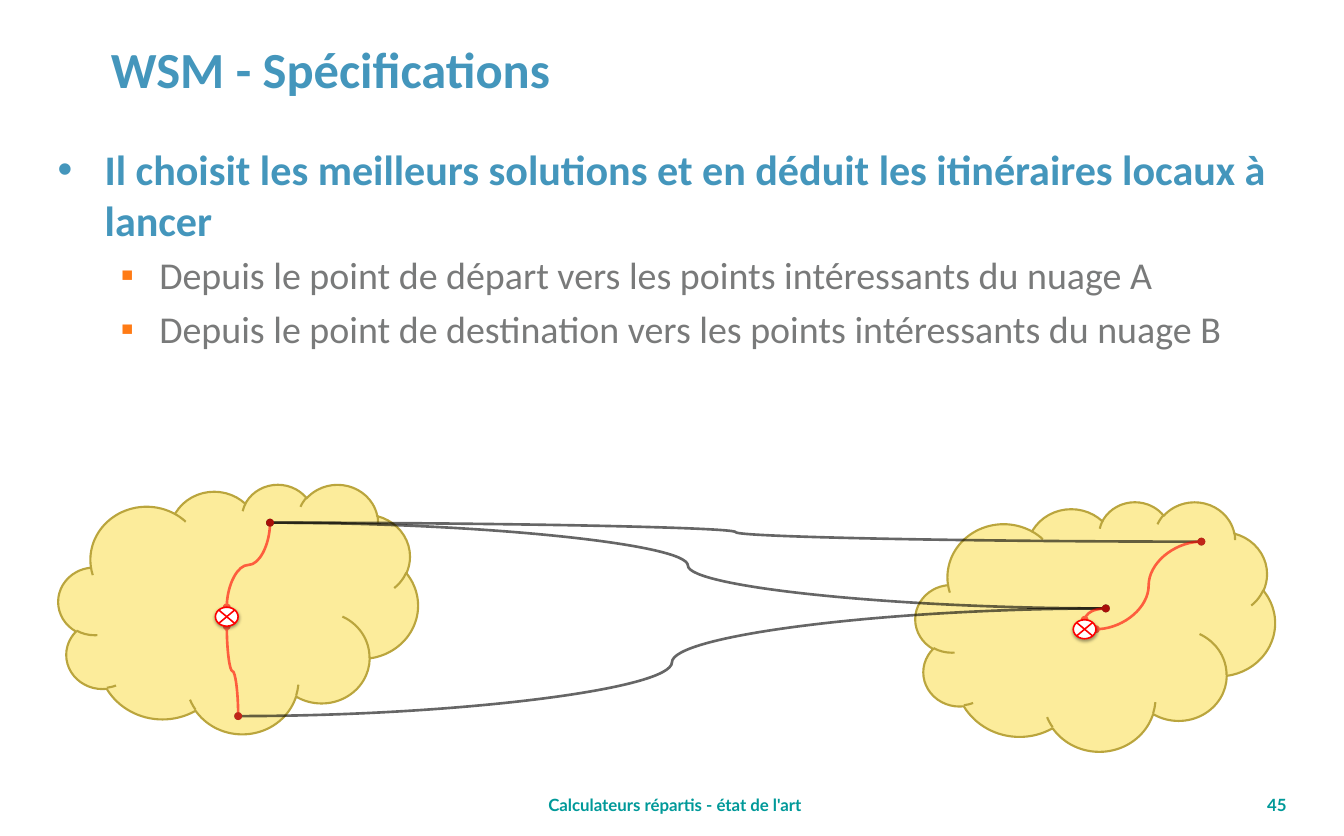
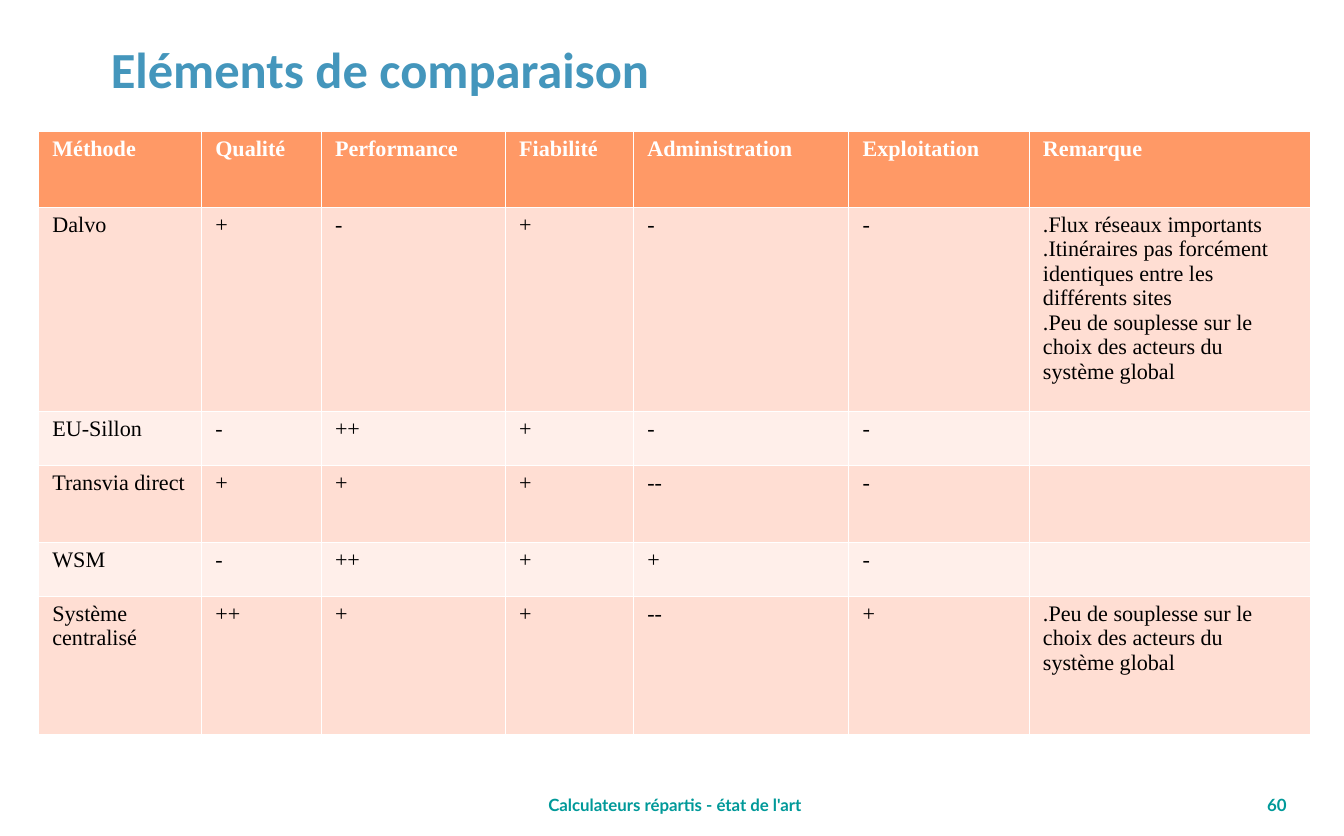
from lxml.etree import SubElement as Sub
from pptx import Presentation
from pptx.dml.color import RGBColor as RGB
from pptx.enum.shapes import MSO_CONNECTOR as Conn, MSO_SHAPE as Kind
from pptx.enum.text import MSO_ANCHOR as Anchor, MSO_AUTO_SIZE as Fit, PP_ALIGN as Align
from pptx.oxml.ns import qn
from pptx.util import Inches, Pt

# Shared look
WIDE, HIGH = Inches(17.72), Inches(11.02)
BLUE = RGB(0x44, 0x96, 0xBC)
GRAY = RGB(0x79, 0x7A, 0x7A)
TEAL = RGB(0x00, 0x99, 0x99)
AMBER = RGB(0xFF, 0x7B, 0x15)
GOLD = RGB(0xFB, 0xDF, 0x53)
OLIVE = RGB(0xBA, 0xA5, 0x3D)
RED = RGB(0xFF, 0x00, 0x00)
BLACK = RGB(0x00, 0x00, 0x00)
WHITE = RGB(0xFF, 0xFF, 0xFF)
HEAD = RGB(0xFF, 0x99, 0x66)
BANDS = RGB(0xFF, 0xDE, 0xD3), RGB(0xFF, 0xEF, 0xEA)
SANS, SMALL, SERIF = "Calibri", "Lato", "Times New Roman"
FOOTER = "Calculateurs répartis - état de l'art"

# Places, in percent of the slide's width and height
TITLE = 7.34, 2.09, 92.66, 12.16
BODY = 3.33, 16.42, 94.24, 75.05
NOTE = 38.88, 94.28, 22.69, 5.72
PAGE = 90.01, 94.28, 9.99, 5.72
GRID = 2.88, 15.7, 94.64, 72.14
CLOUD = 26.75, 29.85
NODE = 1.69, 2.27

# Table content
COLS = 2.15, 1.58, 2.43, 1.69, 2.84, 2.38, 3.71
ROWS = 1, 2.69, 0.71, 1.01, 0.71, 1.82
RIGID = ".Peu de souplesse sur le choix des acteurs du système global"
CELLS = [
    ["Méthode", "Qualité", "Performance", "Fiabilité", "Administration",
     "Exploitation", "Remarque"],
    ["Dalvo", "+", "-", "+", "-", "-",
     ".Flux réseaux importants\n.Itinéraires pas forcément identiques "
     "entre les différents sites\n" + RIGID],
    ["EU-Sillon", "-", "++", "+", "-", "-", ""],
    ["Transvia direct", "+", "+", "+", "--", "-", ""],
    ["WSM", "-", "++", "+", "+", "-", ""],
    ["Système centralisé", "++", "+", "+", "--", "+", RIGID],
]


def across(part):
    return round(WIDE * part / 100)


def down(part):
    return round(HIGH * part / 100)


def place(x, y, w, h):
    return across(x), down(y), across(w), down(h)


def write(para, text, size=16, color=BLACK, font=SANS, bold=False, align=Align.LEFT):
    para.alignment = align
    run = para.add_run()
    run.text = text
    run.font.size, run.font.name, run.font.bold = Pt(size), font, bold
    run.font.color.rgb = color


def setup(frame, side=0.16, anchor=Anchor.TOP):
    frame.word_wrap, frame.auto_size = True, Fit.NONE
    frame.vertical_anchor = anchor
    frame.margin_left = frame.margin_right = Inches(side)
    frame.margin_top = frame.margin_bottom = Inches(0.08)
    return frame


def move(shape, spot):
    shape.left, shape.top, shape.width, shape.height = place(*spot)


def fade(fill, share):
    """Set the opacity of a solid fill, in percent."""
    color = fill._xPr.find(qn("a:solidFill"))[0]
    Sub(color, qn("a:alpha"), val=str(share * 1000))


def bullet(para, mark, left, hang, color):
    props = para._p.get_or_add_pPr()
    props.set("marL", str(Inches(left)))
    props.set("indent", str(-Inches(hang)))
    tint = Sub(props, qn("a:buClr"))
    Sub(tint, qn("a:srgbClr"), val=str(color))
    Sub(props, qn("a:buFont"), typeface="Arial")
    Sub(props, qn("a:buChar"), char=mark)


def start(deck, layout, title, page):
    """Add a slide with its title, footer and page number."""
    slide = deck.slides.add_slide(deck.slide_layouts[layout])
    head = slide.shapes.title
    move(head, TITLE)
    frame = setup(head.text_frame, anchor=Anchor.MIDDLE)
    write(frame.paragraphs[0], title, size=48, color=BLUE, bold=True)
    for spot, text in (NOTE, FOOTER), (PAGE, str(page)):
        frame = setup(slide.shapes.add_textbox(*place(*spot)).text_frame)
        write(frame.paragraphs[0], text, color=TEAL, font=SMALL, bold=True,
              align=Align.CENTER)
    return slide


def figure(slide, kind, spot, fill, line, width):
    shape = slide.shapes.add_shape(kind, *place(*spot))
    shape.shadow.inherit = False
    shape.fill.solid()
    shape.fill.fore_color.rgb = fill
    shape.line.color.rgb = line
    shape.line.width = Pt(width)
    return shape


def cloud(slide, x, y):
    fade(figure(slide, Kind.CLOUD, (x, y, *CLOUD), GOLD, OLIVE, 2).fill, 58)


def node(slide, x, y):
    """Draw a crossed circle around its centre, with a soft shadow."""
    w, h = NODE
    spot = x - w / 2, y - h / 2, w, h
    shape = figure(slide, Kind.FLOWCHART_SUMMING_JUNCTION, spot, WHITE, RED, 1.5)
    effects = shape._element.spPr.find(qn("a:effectLst"))
    glow = Sub(effects, qn("a:outerShdw"), blurRad=str(Pt(3.1)), dist=str(Pt(1.6)),
               dir="5400000", rotWithShape="0")
    tint = Sub(glow, qn("a:srgbClr"), val=str(BLACK))
    Sub(tint, qn("a:alpha"), val="38000")


def curve(slide, tail, tip, color, upright=False, bend=3):
    """Draw a curved link; an upright one leaves its start vertically."""
    x1, y1 = across(tail[0]), down(tail[1])
    x2, y2 = across(tip[0]), down(tip[1])
    turn = 90 if y2 < y1 else 270
    if upright:
        # Lay the link flat around its centre; the turn stands it up again
        mid_x, mid_y = (x1 + x2) // 2, (y1 + y2) // 2
        half_w = abs(y2 - y1) // 2
        half_h = (x2 - x1) // 2 * (1 if turn == 90 else -1)
        x1, x2 = mid_x + half_w, mid_x - half_w
        y1, y2 = mid_y + half_h, mid_y - half_h
        if turn == 270:
            y1, y2 = mid_y + half_h, mid_y - half_h
    link = slide.shapes.add_connector(Conn.CURVE, x1, y1, x2, y2)
    link.line.color.rgb = color
    link.line.width = Pt(2.5)
    fade(link.line.fill, 60)
    props = link._element.spPr
    if upright:
        props.find(qn("a:xfrm")).set("rot", str(turn * 60000))
    props.find(qn("a:prstGeom")).set("prst", f"curvedConnector{bend}")
    for end in "a:headEnd", "a:tailEnd":
        Sub(props.find(qn("a:ln")), qn(end), type="oval")
    Sub(props, qn("a:effectLst"))


def specs(deck):
    slide = start(deck, 1, "WSM - Spécifications", 45)

    # Bulleted text
    body = slide.placeholders[1]
    move(body, BODY)
    frame = setup(body.text_frame, side=0.17)
    first = frame.paragraphs[0]
    write(first, "Il choisit les meilleurs solutions et en déduit les "
          "itinéraires locaux à lancer", size=40, color=BLUE, bold=True)
    bullet(first, "•", 0.62, 0.62, BLUE)
    for text in ("Depuis le point de départ vers les points intéressants du nuage A",
                 "Depuis le point de destination vers les points intéressants du nuage B"):
        para = frame.add_paragraph()
        para.level = 1
        write(para, text, size=36, color=GRAY)
        bullet(para, "▪", 1.34, 0.51, AMBER)

    # Clouds A and B
    cloud(slide, 4.35, 57.89)
    cloud(slide, 68.12, 59.98)

    # Links between the clouds
    top_a, low_a = (20.09, 62.52), (17.72, 85.66)
    top_b, low_b = (89.39, 64.79), (82.28, 72.78)
    for tail, tip in (top_a, top_b), (low_a, low_b), (top_a, low_b):
        curve(slide, tail, tip, BLACK)

    # Local routes from the start and the goal
    (ax, ay), (bx, by) = base, goal = (16.87, 73.77), (80.7, 75.27)
    half_w, half_h = NODE[0] / 2, NODE[1] / 2
    curve(slide, (ax, ay - half_h), top_a, RED, upright=True)
    curve(slide, (ax, ay + half_h), low_a, RED, upright=True)
    curve(slide, (bx, by - half_h), low_b, RED, upright=True, bend=2)
    curve(slide, (bx + half_w, by), top_b, RED)
    node(slide, *base)
    node(slide, *goal)


def compare(deck):
    slide = start(deck, 5, "Eléments de comparaison", 60)
    spot = place(*GRID)
    table = slide.shapes.add_table(len(ROWS), len(COLS), *spot).table
    for col, part in zip(table.columns, COLS):
        col.width = round(spot[2] * part / sum(COLS))
    for row, part in zip(table.rows, ROWS):
        row.height = round(spot[3] * part / sum(ROWS))

    # Cells; the table style gives the white rules
    for r, texts in enumerate(CELLS):
        top = r == 0
        for c, text in enumerate(texts):
            cell = table.cell(r, c)
            cell.fill.solid()
            cell.fill.fore_color.rgb = HEAD if top else BANDS[(r - 1) % 2]
            cell.margin_left = cell.margin_right = Inches(0.18)
            cell.margin_top = cell.margin_bottom = Inches(0.07)
            frame = cell.text_frame
            for n, line in enumerate(text.split("\n") if text else []):
                para = frame.add_paragraph() if n else frame.paragraphs[0]
                write(para, line, size=21, font=SERIF, bold=top,
                      color=WHITE if top else BLACK)


def main():
    deck = Presentation()
    deck.slide_width, deck.slide_height = WIDE, HIGH
    specs(deck)
    compare(deck)
    deck.save("out.pptx")


if __name__ == "__main__":
    main()
